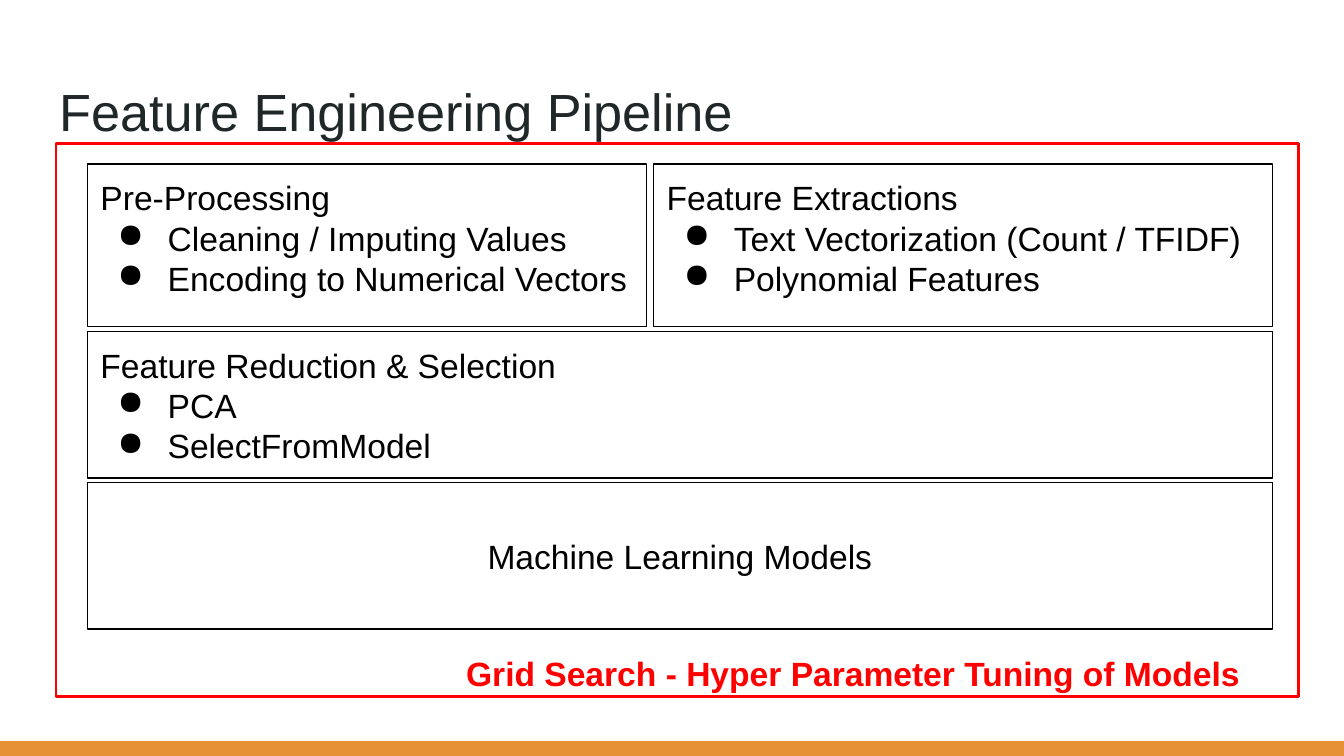
from lxml import etree
from pptx import Presentation
from pptx.dml.color import RGBColor
from pptx.enum.shapes import MSO_SHAPE
from pptx.enum.text import MSO_ANCHOR, PP_ALIGN
from pptx.oxml.ns import qn
from pptx.util import Cm, Pt

RECTANGLE = MSO_SHAPE.RECTANGLE
TOP, MIDDLE = MSO_ANCHOR.TOP, MSO_ANCHOR.MIDDLE
LEFT, CENTER = PP_ALIGN.LEFT, PP_ALIGN.CENTER
BLACK = RGBColor(0x00, 0x00, 0x00)
RED = RGBColor(0xFF, 0x00, 0x00)
SLATE = RGBColor(0x20, 0x27, 0x29)
ORANGE = RGBColor(0xE6, 0x91, 0x38)

# Content
TITLE = "Feature Engineering Pipeline"
CAPTION = "Grid Search - Hyper Parameter Tuning of Models"
# Rows of stages: top, height, anchor, then (width, heading, bullets, alignment)
ROWS = [
    (3.1, 3.07, TOP, [
        (10.57, "Pre-Processing",
         ["Cleaning / Imputing Values", "Encoding to Numerical Vectors"], LEFT),
        (11.7, "Feature Extractions",
         ["Text Vectorization (Count / TFIDF)", "Polynomial Features"], LEFT),
    ]),
    (6.27, 2.77, MIDDLE, [
        (22.4, "Feature Reduction & Selection", ["PCA", "SelectFromModel"], LEFT),
    ]),
    (9.12, 2.77, MIDDLE, [(22.4, "Machine Learning Models", [], CENTER)]),
]

# Layout in centimetres
SLIDE_WIDTH, SLIDE_HEIGHT = 25.4, 14.29
STAGE_LEFT, STAGE_GAP = 1.65, 0.13
INSET = 0.25
BULLET_INDENT, BULLET_HANGING = 1.27, 0.95

deck = Presentation()
deck.slide_width, deck.slide_height = Cm(SLIDE_WIDTH), Cm(SLIDE_HEIGHT)
page = deck.slides.add_slide(deck.slide_layouts[6])


def add_rectangle(left, top, width, height, fill=None, line=None, weight=0.75):
    box = page.shapes.add_shape(RECTANGLE, Cm(left), Cm(top), Cm(width), Cm(height))
    box.shadow.inherit = False
    if fill is None:
        box.fill.background()
    else:
        box.fill.solid()
        box.fill.fore_color.rgb = fill
    if line is None:
        box.line.fill.background()
    else:
        box.line.color.rgb = line
        box.line.width = Pt(weight)
    return box


def add_bullet(para):
    properties = para._p.get_or_add_pPr()
    properties.set("marL", str(Cm(BULLET_INDENT)))
    properties.set("indent", str(-Cm(BULLET_HANGING)))
    etree.SubElement(properties, qn("a:buChar")).set("char", "●")


def write(box, heading, bullets=(), size=18, color=BLACK, bold=False,
          anchor=TOP, alignment=LEFT):
    frame = box.text_frame
    frame.word_wrap = True
    frame.vertical_anchor = anchor
    frame.margin_left = frame.margin_right = Cm(INSET)
    frame.margin_top = frame.margin_bottom = Cm(INSET)
    for index, text in enumerate([heading, *bullets]):
        para = frame.add_paragraph() if index else frame.paragraphs[0]
        para.text = text
        para.alignment = alignment
        para.font.name = "Arial"
        para.font.size = Pt(size)
        para.font.bold = bold
        para.font.color.rgb = color
        if index:
            add_bullet(para)


# Footer band and title
add_rectangle(0, 14.01, SLIDE_WIDTH, 0.28, fill=ORANGE)
title = page.shapes.add_textbox(Cm(0.87), Cm(1.25), Cm(23.67), Cm(1.6))
write(title, TITLE, size=28, color=SLATE)

# Pipeline stages
for top, height, anchor, stages in ROWS:
    left = STAGE_LEFT
    for width, heading, bullets, alignment in stages:
        stage = add_rectangle(left, top, width, height, line=BLACK)
        write(stage, heading, bullets, anchor=anchor, alignment=alignment)
        left += width + STAGE_GAP

# Grid search frame and caption
add_rectangle(1.06, 2.72, 23.48, 10.44, line=RED, weight=1.5)
caption = page.shapes.add_textbox(Cm(8.56), Cm(12.09), Cm(15.72), Cm(1.19))
write(caption, CAPTION, color=RED, bold=True)

deck.save("out.pptx")
